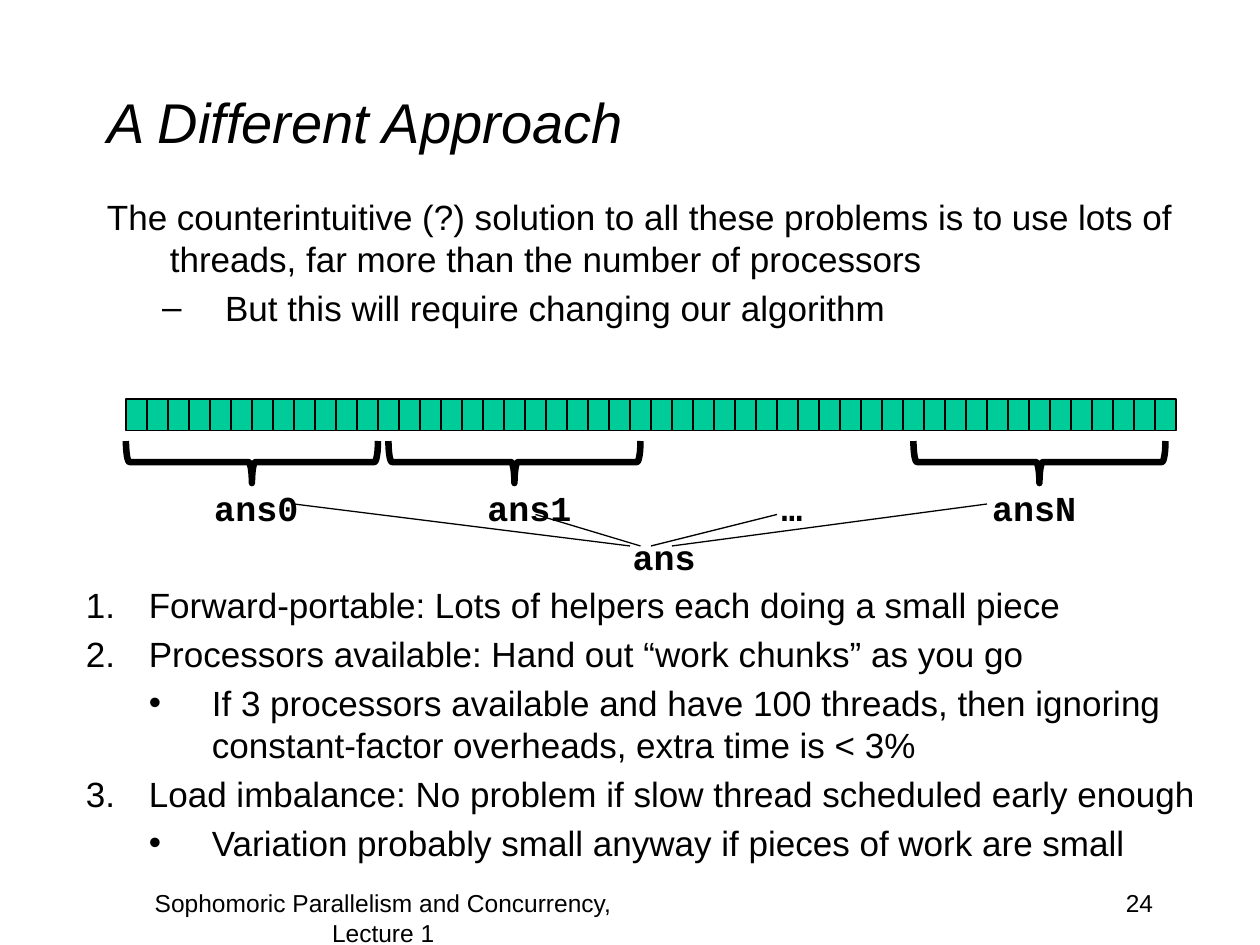
"""Build the slide on splitting an array among many threads."""
from lxml import etree
from pptx import Presentation
from pptx import util as u
from pptx.dml import color
from pptx.enum import shapes, text
from pptx.oxml import ns

SHAPE = shapes.MSO_SHAPE
LEFT, MID, RIGHT = text.PP_ALIGN.LEFT, text.PP_ALIGN.CENTER, text.PP_ALIGN.RIGHT


def paint(code):
    """Turn a hex string into a colour."""
    return color.RGBColor.from_string(code)


def write(para, words, font="Arial", size=20, ink="000000", bold=False,
          slant=False, align=LEFT, gap=0, level=0, left=0, hang=0, mark=None):
    """Fill a paragraph with formatted text and an optional bullet."""
    run = para.add_run()
    run.text = words
    run.font.name, run.font.size = font, u.Pt(size)
    run.font.bold, run.font.italic = bold, slant
    run.font.color.rgb = paint(ink)
    para.alignment, para.level = align, level
    para.space_before = u.Pt(gap)
    props = para._p.get_or_add_pPr()
    props.set("marL", str(u.Pt(left)))
    props.set("indent", str(u.Pt(-hang)))
    if mark == "1.":
        etree.SubElement(props, ns.qn("a:buFont"), typeface="Arial")
        etree.SubElement(props, ns.qn("a:buAutoNum"), type="arabicPeriod")
    elif mark:
        etree.SubElement(props, ns.qn("a:buFont"), typeface="Arial")
        etree.SubElement(props, ns.qn("a:buChar"), char=mark)
    else:
        etree.SubElement(props, ns.qn("a:buNone"))


class Sketch:
    """Hold the style and the current slide."""

    ink, green, thin, thick = "000000", "00CC99", 0.75, 3.75

    def __init__(self, slide):
        """Keep the slide to draw on."""
        self.slide = slide

    def title(self, words, x, y, w, h):
        """Place and format the title."""
        head = self.slide.shapes.title
        head.left, head.top, head.width, head.height = map(u.Pt, (x, y, w, h))
        frame = head.text_frame
        frame.auto_size = text.MSO_AUTO_SIZE.NONE
        frame.vertical_anchor = text.MSO_ANCHOR.MIDDLE
        write(frame.paragraphs[0], words, size=32, slant=True)

    def block(self, items, x, y, w, h, inset=None, **style):
        """Add a text box with one paragraph per item."""
        box = self.slide.shapes.add_textbox(*map(u.Pt, (x, y, w, h)))
        frame = box.text_frame
        frame.word_wrap = True
        if inset is not None:
            frame.margin_left = frame.margin_right = u.Pt(inset)
            frame.margin_top = frame.margin_bottom = u.Pt(inset)
        for i, (words, extra) in enumerate(items):
            para = frame.add_paragraph() if i else frame.paragraphs[0]
            write(para, words, **{**style, **extra})

    def label(self, words, x, y):
        """Add a code label centred on x."""
        self.block([(words, {})], x - 36, y, 72, 24, inset=0,
                   font="Courier New", bold=True, align=MID)

    def shape(self, kind, x, y, w, h, width, fill=None):
        """Add an outlined preset shape."""
        item = self.slide.shapes.add_shape(kind, *map(u.Pt, (x, y, w, h)))
        item.shadow.inherit = False
        if fill:
            item.fill.solid()
            item.fill.fore_color.rgb = paint(fill)
        else:
            item.fill.background()
        item.line.color.rgb = paint(self.ink)
        item.line.width = u.Pt(width)
        return item

    def cell(self, x, y, w, h):
        """Add one array cell."""
        self.shape(SHAPE.RECTANGLE, x, y, w, h, self.thin, self.green)

    def brace(self, x, y, w, h):
        """Add a brace pointing down, given its visible frame."""
        item = self.shape(SHAPE.LEFT_BRACE, x + (w - h) / 2, y - (w - h) / 2,
                          h, w, self.thick)
        item.rotation = 270

    def line(self, *ends):
        """Add a thin straight line."""
        item = self.slide.shapes.add_connector(
            shapes.MSO_CONNECTOR.STRAIGHT, *map(u.Pt, ends))
        item.line.color.rgb = paint(self.ink)
        item.line.width = u.Pt(self.thin)
        etree.SubElement(item._element.spPr, ns.qn("a:effectLst"))


def main():
    """Draw the slide and save it."""
    deck = Presentation()
    deck.slide_width, deck.slide_height = u.Pt(720), u.Pt(540)
    art = Sketch(deck.slides.add_slide(deck.slide_layouts[5]))

    art.title("A Different Approach", 54, 24, 612, 90)
    art.block([
        ("The counterintuitive (?) solution to all these problems is to use "
         "lots of threads, far more than the number of processors",
         dict(left=36, hang=36)),
        ("But this will require changing our algorithm",
         dict(level=1, left=67.5, hang=36, mark="–")),
    ], 54, 108, 630, 120, gap=4)
    art.block([("24", {})], 516, 504, 150, 36, size=14, align=RIGHT)
    art.block([("Sophomoric Parallelism and Concurrency, Lecture 1", {})],
              60, 504, 318, 36, size=14, align=MID)

    for words, x in (("ans0", 146.5), ("ans1", 302.5),
                     ("…", 452.5), ("ansN", 591)):
        art.label(words, x, 278)
    art.label("ans", 379.5, 306)

    for i in range(50):
        art.cell(72 + 12 * i, 228, 12, 18)
    for x in (72, 222, 522):
        art.brace(x, 252, 144, 24)
    for x, y, end in ((168, 288, 360), (306, 294, 366),
                      (444, 294, 372), (564, 288, 384)):
        art.line(x, y, end, 312)

    step = dict(left=36, hang=36, mark="1.")
    note = dict(level=1, left=72, hang=36, mark="•")
    art.block([
        ("Forward-portable: Lots of helpers each doing a small piece", step),
        ("Processors available: Hand out “work chunks” as you go", step),
        ("If 3 processors available and have 100 threads, then ignoring "
         "constant-factor overheads, extra time is < 3%", note),
        ("Load imbalance: No problem if slow thread scheduled early enough",
         step),
        ("Variation probably small anyway if pieces of work are small", note),
    ], 42, 330, 654, 168, gap=4)
    deck.save("out.pptx")


if __name__ == "__main__":
    main()
